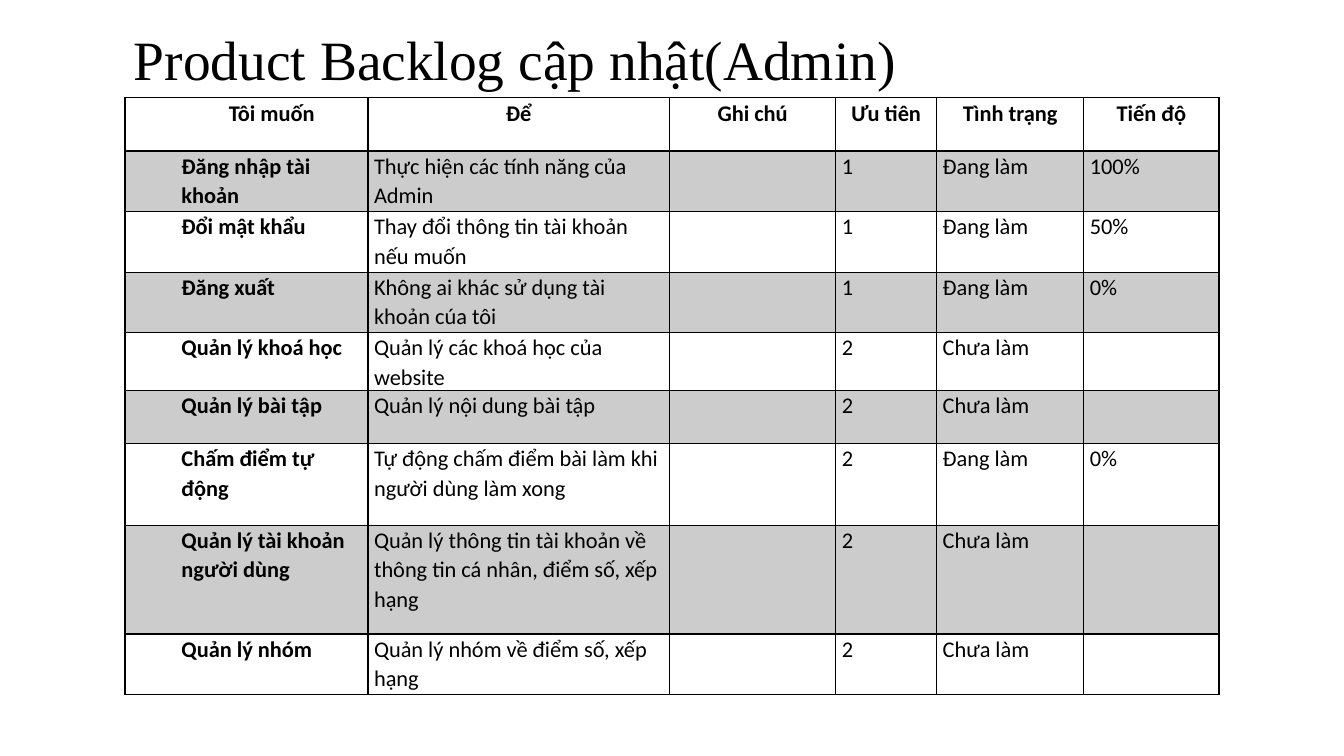
from lxml.etree import SubElement
from pptx import Presentation
from pptx.dml.color import RGBColor
from pptx.enum.text import MSO_ANCHOR, PP_ALIGN
from pptx.oxml.ns import qn
from pptx.util import Inches, Pt

BLACK, WHITE, GREY = "000000", "FFFFFF", "CCCCCC"
COLUMN_WIDTHS = [2.41, 2.99, 1.65, 1, 1.46, 1.34]
ROW_HEIGHTS = [0.53, 0.6, 0.6, 0.6, 0.53, 0.53, 0.81, 1.08, 0.6]
BACKLOG = [
    ["Tôi muốn", "Để", "Ghi chú", "Ưu tiên", "Tình trạng", "Tiến độ"],
    ["Đăng nhập tài khoản", "Thực hiện các tính năng của Admin", "", "1", "Đang làm", "100%"],
    ["Đổi mật khẩu", "Thay đổi thông tin tài khoản nếu muốn", "", "1", "Đang làm", "50%"],
    ["Đăng xuất", "Không ai khác sử dụng tài khoản cúa tôi", "", "1", "Đang làm", "0%"],
    ["Quản lý khoá học", "Quản lý các khoá học của website", "", "2", "Chưa làm", ""],
    ["Quản lý bài tập", "Quản lý nội dung bài tập ", "", "2", "Chưa làm", ""],
    ["Chấm điểm tự động", "Tự động chấm điểm bài làm khi người dùng làm xong", "", "2", "Đang làm", "0%"],
    ["Quản lý tài khoản người dùng", "Quản lý thông tin tài khoản về thông tin cá nhân, điểm số, xếp hạng",
     "", "2", "Chưa làm", ""],
    ["Quản lý nhóm", "Quản lý nhóm về điểm số, xếp hạng", "", "2", "Chưa làm", ""],
]


def style_text(paragraph, font_name, size, line_spacing, bold=False):
    """Set the line spacing of a paragraph and the font of its runs."""
    paragraph.line_spacing = line_spacing
    for run in paragraph.runs:
        run.font.name = font_name
        run.font.size = Pt(size)
        run.font.bold = bold
        run.font.color.rgb = RGBColor.from_string(BLACK)


def add_border(cell, side, width):
    """Draw one black side (L, R, T or B) of a cell."""
    properties = cell._tc.get_or_add_tcPr()
    line = SubElement(properties, qn(f"a:ln{side}"), w=str(Pt(width)))
    fill = SubElement(line, qn("a:solidFill"))
    SubElement(fill, qn("a:srgbClr"), val=BLACK)


presentation = Presentation()
presentation.slide_width = Inches(13.33)
presentation.slide_height = Inches(7.5)
slide = presentation.slides.add_slide(presentation.slide_layouts[6])

# Title
title = slide.shapes.add_textbox(Inches(1.23), Inches(0.27), Inches(11), Inches(0.7))
title.text_frame.word_wrap = True
title.text_frame.vertical_anchor = MSO_ANCHOR.MIDDLE
title.text_frame.text = "Product Backlog cập nhật(Admin)"
style_text(title.text_frame.paragraphs[0], "Times New Roman", 39.6, 0.9)

# Backlog table
table_shape = slide.shapes.add_table(
    len(BACKLOG), len(COLUMN_WIDTHS), Inches(1.24), Inches(0.97),
    Inches(sum(COLUMN_WIDTHS)), Inches(sum(ROW_HEIGHTS)))
table = table_shape.table
table.first_row = False
table.horz_banding = False
for column, width in zip(table.columns, COLUMN_WIDTHS):
    column.width = Inches(width)
for row, height in zip(table.rows, ROW_HEIGHTS):
    row.height = Inches(height)

for row_index, texts in enumerate(BACKLOG):
    is_header = row_index == 0
    for column_index, text in enumerate(texts):
        is_story = column_index == 0
        cell = table.cell(row_index, column_index)
        cell.margin_left = cell.margin_right = Inches(0.06)
        cell.margin_top = cell.margin_bottom = 0
        cell.text_frame.text = text
        paragraph = cell.text_frame.paragraphs[0]
        style_text(paragraph, "Calibri", 16, 1.07, bold=is_header or is_story)
        if is_header:
            paragraph.alignment = PP_ALIGN.CENTER
        if is_story:
            paragraph_properties = paragraph._p.get_or_add_pPr()
            paragraph_properties.set("marL", str(Inches(0.5)))
            paragraph_properties.set("indent", "0")
        for side in "LRTB":
            under_header = (row_index, side) in [(0, "B"), (1, "T")]
            add_border(cell, side, 2 if under_header else 1)
        cell.fill.solid()
        cell.fill.fore_color.rgb = RGBColor.from_string(GREY if row_index % 2 else WHITE)

presentation.save("out.pptx")
